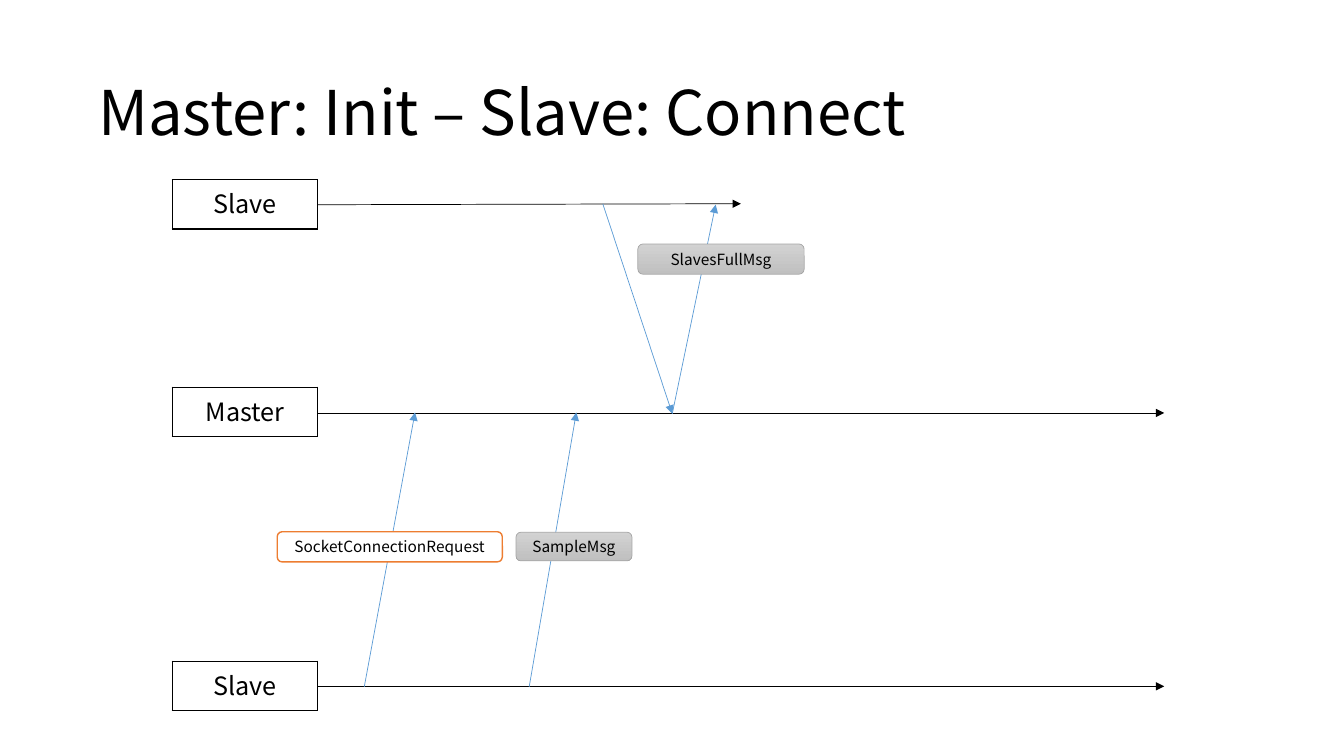
from lxml import etree
from pptx import Presentation
from pptx.dml.color import RGBColor
from pptx.enum.shapes import MSO_CONNECTOR, MSO_SHAPE
from pptx.enum.text import MSO_ANCHOR, MSO_AUTO_SIZE, PP_ALIGN
from pptx.oxml.ns import qn
from pptx.util import Pt

LEFT, CENTER = PP_ALIGN.LEFT, PP_ALIGN.CENTER
TOP, MIDDLE = MSO_ANCHOR.TOP, MSO_ANCHOR.MIDDLE
NO_FIT = MSO_AUTO_SIZE.NONE
STRAIGHT = MSO_CONNECTOR.STRAIGHT
ROUNDED = MSO_SHAPE.ROUNDED_RECTANGLE

FONT = "Noto Sans CJK KR"
COLORS = {
    "black": "000000", "white": "FFFFFF", "blue": "5B9BD5", "orange": "ED7D31",
    "gray": "A5A5A5", "gray_top": "D2D2D2", "gray_bottom": "C0C0C0",
}

BOX_X, BOX_W, BOX_H = 123, 104, 35.3
# name, top of the box, end of the lifeline
LANES = [("Slave", 128.3, 529.2), ("Master", 276.6, 831.6), ("Slave", 472.3, 831.6)]
# start and end of each message arrow
ARROWS = [
    ((260.2, 490.6), (296.5, 294.6)),
    ((378, 490.6), (411.7, 294.6)),
    ((480.2, 295.6), (511.2, 146.2)),
    ((430.6, 145.6), (480.2, 295.4)),
]
# text, left, top, width, height, line colour, line width, filled with gray
LABELS = [
    ("SocketConnectionRequest", 198, 379.8, 160.8, 21.6, "orange", 1, False),
    ("SampleMsg", 368.6, 380.2, 82.8, 20.4, "gray", 0.5, True),
    ("SlavesFullMsg", 455.6, 174.3, 118.8, 21.6, "gray", 0.5, True),
]
# a lane's last arrow end differs in height only for the short lifeline
SHORT_LANE_RISE = 0.7


def rgb(name):
    return RGBColor.from_string(COLORS[name])


def write(tf, text, size=18, color="black", align=CENTER, spacing=1.0):
    p = tf.paragraphs[0]
    p.alignment, p.line_spacing = align, spacing
    r = p.add_run()
    r.text = text
    r.font.name, r.font.size = FONT, Pt(size)
    r.font.color.rgb = rgb(color)


class Diagram:
    def __init__(self, s):
        self.s = s

    def title(self, text):
        sp = self.s.shapes.title
        sp.left, sp.top, sp.width, sp.height = Pt(63), Pt(30), Pt(828), Pt(104.4)
        tf = sp.text_frame
        tf.word_wrap, tf.auto_size, tf.vertical_anchor = True, NO_FIT, MIDDLE
        write(tf, text, size=44, align=LEFT, spacing=0.9)

    def box(self, text, x, y, w, h):
        """Draw a one-cell table with a black border."""
        table = self.s.shapes.add_table(1, 1, Pt(x), Pt(y), Pt(w), Pt(h)).table
        table.first_row = table.horz_banding = False
        cell = table.cell(0, 0)
        cell.vertical_anchor = TOP
        write(cell.text_frame, text)
        tc_pr = cell._tc.get_or_add_tcPr()
        for side in ("a:lnL", "a:lnR", "a:lnT", "a:lnB"):
            ln = etree.SubElement(tc_pr, qn(side), w=str(Pt(1)))
            fill = etree.SubElement(ln, qn("a:solidFill"))
            etree.SubElement(fill, qn("a:srgbClr"), val=COLORS["black"])
        cell.fill.background()

    def arrow(self, start, end, color):
        c = self.s.shapes.add_connector(STRAIGHT, *map(Pt, start + end))
        c.line.width = Pt(0.5)
        c.line.color.rgb = rgb(color)
        etree.SubElement(c.line._get_or_add_ln(), qn("a:tailEnd"), type="triangle")
        etree.SubElement(c._element.spPr, qn("a:effectLst"))

    def label(self, text, x, y, w, h, line, width, gray):
        sp = self.s.shapes.add_shape(ROUNDED, Pt(x), Pt(y), Pt(w), Pt(h))
        sp.shadow.inherit = False
        sp.line.color.rgb, sp.line.width = rgb(line), Pt(width)
        if gray:
            sp.fill.gradient()
            sp.fill.gradient_angle = 270
            for stop, name in zip(sp.fill.gradient_stops, ("gray_top", "gray_bottom")):
                stop.color.rgb, stop.position = rgb(name), float(name == "gray_bottom")
        else:
            sp.fill.solid()
            sp.fill.fore_color.rgb = rgb("white")
        tf = sp.text_frame
        tf.word_wrap, tf.vertical_anchor = False, MIDDLE
        write(tf, text, size=11)


def main():
    prs = Presentation()
    prs.slide_width, prs.slide_height = Pt(960), Pt(540)
    d = Diagram(prs.slides.add_slide(prs.slide_layouts[5]))
    d.title("Master: Init – Slave: Connect")
    for i, (name, y, end) in enumerate(LANES):
        d.box(name, BOX_X, y, BOX_W, BOX_H)
        mid = y + BOX_H / 2 + (0.7 if name == "Master" else 0.3)
        rise = SHORT_LANE_RISE if i == 0 else 0
        d.arrow((BOX_X + BOX_W, mid), (end, mid - rise), "black")
    for start, end in ARROWS:
        d.arrow(start, end, "blue")
    for label in LABELS:
        d.label(*label)
    prs.save("out.pptx")


if __name__ == "__main__":
    main()
